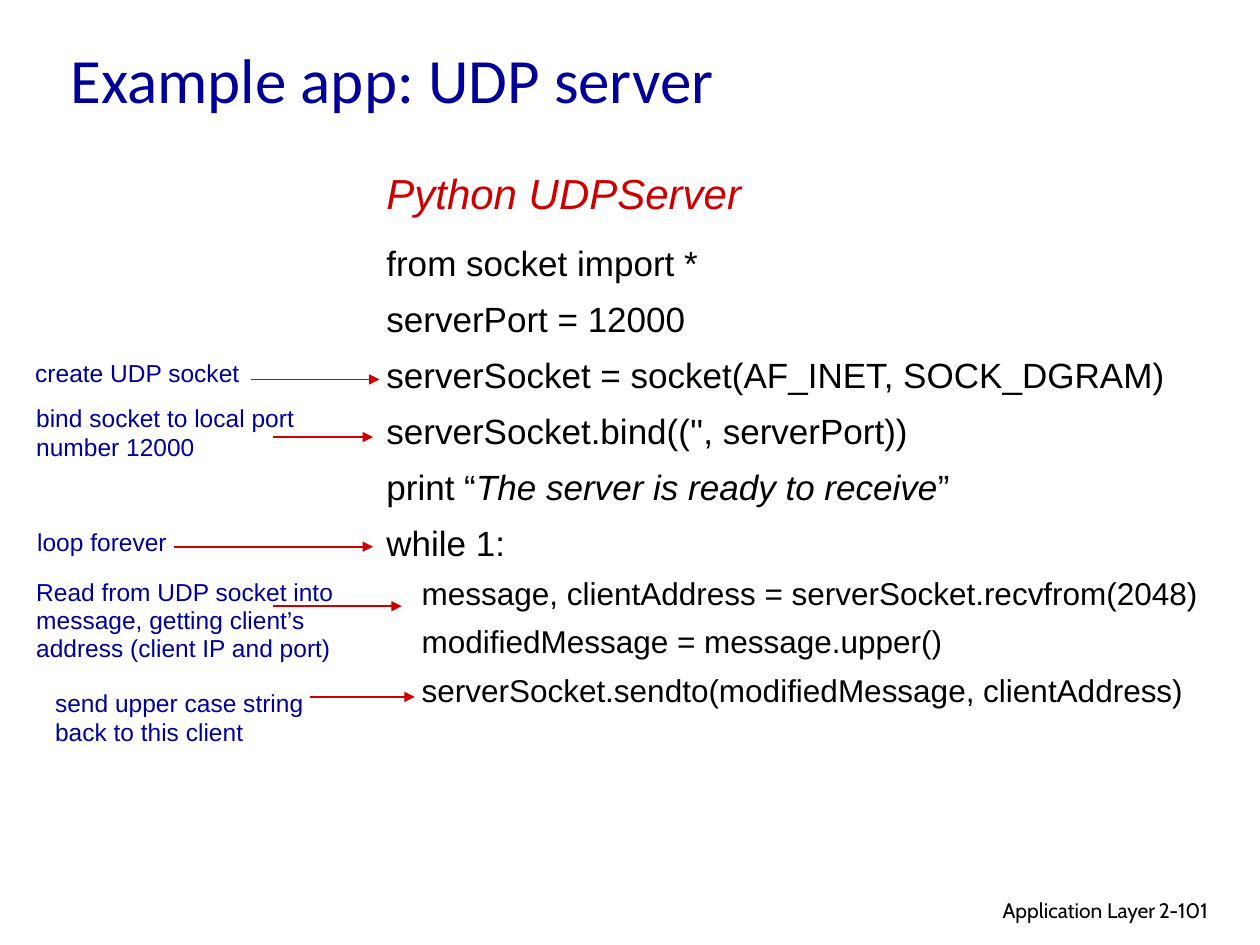
import pptx
import pptx.util
import pptx.dml.color
import pptx.enum.shapes
import pptx.enum.text
import pptx.oxml
import pptx.oxml.ns

Cm, Pt = pptx.util.Cm, pptx.util.Pt
Align, Anchor = pptx.enum.text.PP_ALIGN, pptx.enum.text.MSO_ANCHOR

# Content: positions are in centimetres
TITLE = "Example app: UDP server"
HEADING = "Python UDPServer"
FOOTER, PAGE_NUMBER = "Application Layer", "2-101"

# Each code line: indent level, then (text, italic) spans
CODE = [
    (0, [("from socket import *", False)]),
    (0, [("serverPort = 12000", False)]),
    (0, [("serverSocket = socket(AF_INET, SOCK_DGRAM)", False)]),
    (0, [("serverSocket.bind(('', serverPort))", False)]),
    (0, [("print “", False), ("The server is ready to receive", True), ("”", False)]),
    (0, [("while 1:", False)]),
    (1, [("message, clientAddress = serverSocket.recvfrom(2048)", False)]),
    (1, [("modifiedMessage = message.upper()", False)]),
    (1, [("serverSocket.sendto(modifiedMessage, clientAddress)", False)]),
]

# Each note: text, box (left, top, width, height), line pitch, arrow (from x, to x, y)
NOTES = [
    ("create UDP socket", (0.46, 7.09, 7.11, 0.86), None, (5.05, 7.65, 7.65)),
    ("bind socket to local port number 12000",
     (0.48, 8, 6.3, 1.45), None, (5.51, 7.52, 8.81)),
    ("loop forever", (0.5, 10.52, 3.33, 0.84), 16, (3.51, 7.52, 11.02)),
    ("Read from UDP socket into message, getting client’s address (client IP and port)",
     (0.48, 11.53, 6.55, 1.96), 16, (5.51, 8.1, 12.22)),
    ("send upper case string back to this client",
     (0.86, 13.74, 6.53, 1.45), None, (6.25, 8.36, 14.05)),
]

THEME = {
    "title": ("Calibri", 36, "000099"),
    "heading": ("Arial", 24, "CC0000"),
    "code": [("Arial", 20, "000000"), ("Arial", 18, "000000")],
    "code_pitch": [28, 24],
    "note": ("Arial", 14, "000099"),
    "footer": ("Cabin", 12, "000000"),
    "arrow": "CC0000",
}
CODE_LEFT = 7.54
INDENT = Cm(0.71)
SPACE_BEFORE = 0.2  # share of the type size


def color(value):
    return pptx.dml.color.RGBColor.from_string(value)


def add_box(page, left, top, width, height, anchor=Anchor.TOP):
    box = page.shapes.add_textbox(Cm(left), Cm(top), Cm(width), Cm(height))
    box.text_frame.word_wrap = True
    box.text_frame.vertical_anchor = anchor
    return box.text_frame


def style(para, look, pitch=None):
    name, size, ink = look
    para.font.name, para.font.size = name, Pt(size)
    para.font.color.rgb = color(ink)
    para.space_before = Pt(size * SPACE_BEFORE)
    if pitch:
        para.line_spacing = Pt(pitch)


def add_line(frame, text, look, pitch=None):
    para = frame.paragraphs[0]
    para.text = text
    style(para, look, pitch)
    return para


def add_arrow(page, start, end, height):
    arrow = page.shapes.add_connector(
        pptx.enum.shapes.MSO_CONNECTOR.STRAIGHT,
        Cm(start), Cm(height), Cm(end), Cm(height))
    arrow.line.color.rgb = color(THEME["arrow"])
    arrow.line.width = Pt(1)
    namespace = pptx.oxml.ns.nsdecls("a")
    arrow.line._get_or_add_ln().append(
        pptx.oxml.parse_xml(f'<a:tailEnd {namespace} type="triangle"/>'))
    arrow._element.spPr.append(pptx.oxml.parse_xml(f"<a:effectLst {namespace}/>"))


def main():
    deck = pptx.Presentation()
    deck.slide_width, deck.slide_height = Cm(25.4), Cm(19.05)
    page = deck.slides.add_slide(deck.slide_layouts[6])

    # Footer
    footer = add_line(add_box(page, 15.49, 17.96, 8.05, 0.79), FOOTER, THEME["footer"])
    footer.alignment = Align.RIGHT
    add_line(add_box(page, 23.11, 17.96, 1.88, 0.76), PAGE_NUMBER, THEME["footer"])

    # Title and code heading
    add_line(add_box(page, 1.17, 0.25, 21.59, 2.64, Anchor.MIDDLE), TITLE, THEME["title"])
    heading = add_line(add_box(page, CODE_LEFT, 3.25, 7.95, 1.3), HEADING, THEME["heading"])
    heading.font.italic = True

    # Code listing
    frame = add_box(page, CODE_LEFT, 4.6, 17.07, 10.11)
    for index, (level, spans) in enumerate(CODE):
        para = frame.add_paragraph() if index else frame.paragraphs[0]
        style(para, THEME["code"][level], THEME["code_pitch"][level])
        para._p.get_or_add_pPr().set("marL", str(level * INDENT))
        for text, italic in spans:
            span = para.add_run()
            span.text = text
            if italic:
                span.font.italic = True

    # Notes with arrows to the code
    for text, place, pitch, arrow in NOTES:
        add_line(add_box(page, *place), text, THEME["note"], pitch)
        add_arrow(page, *arrow)

    deck.save("out.pptx")


if __name__ == "__main__":
    main()
